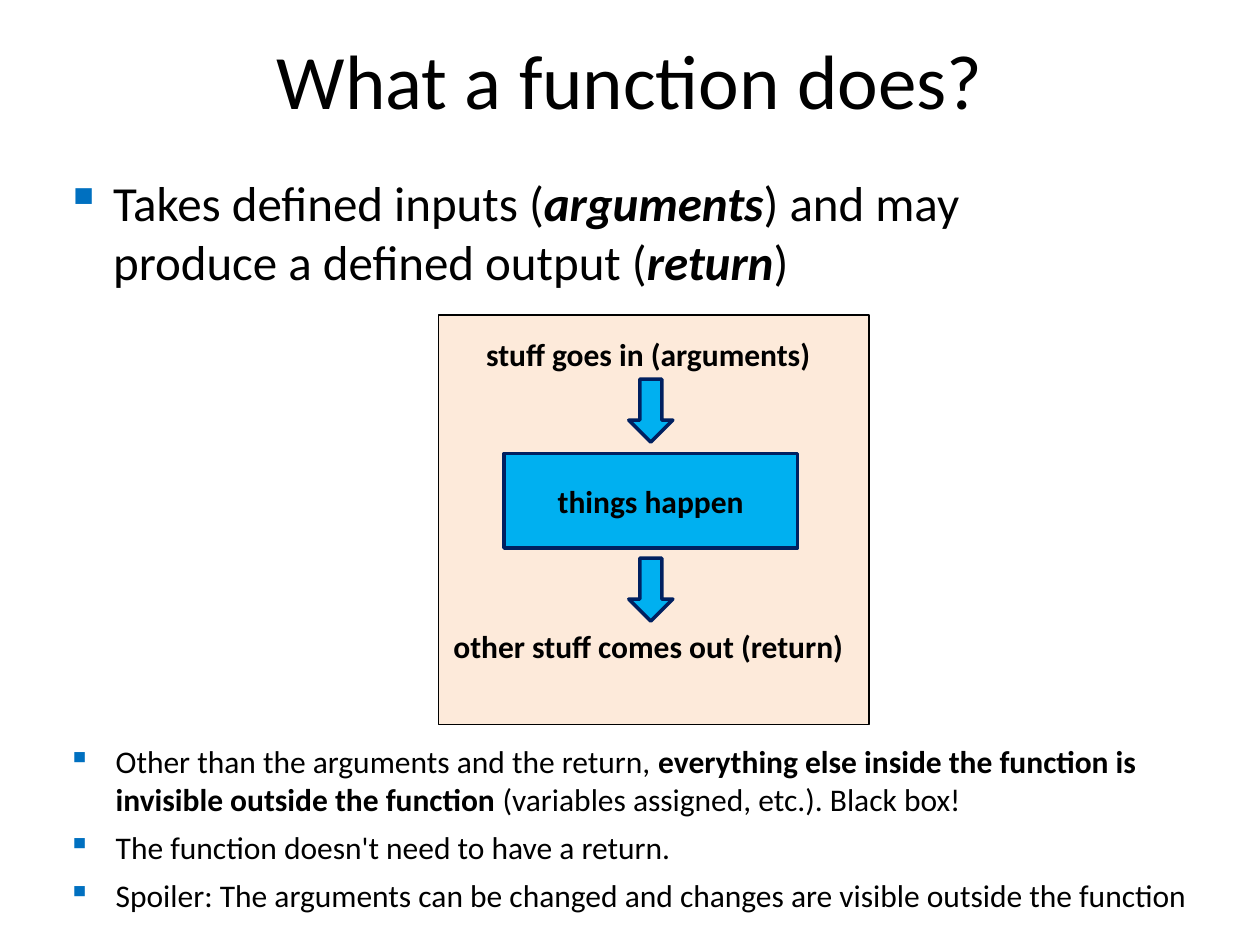
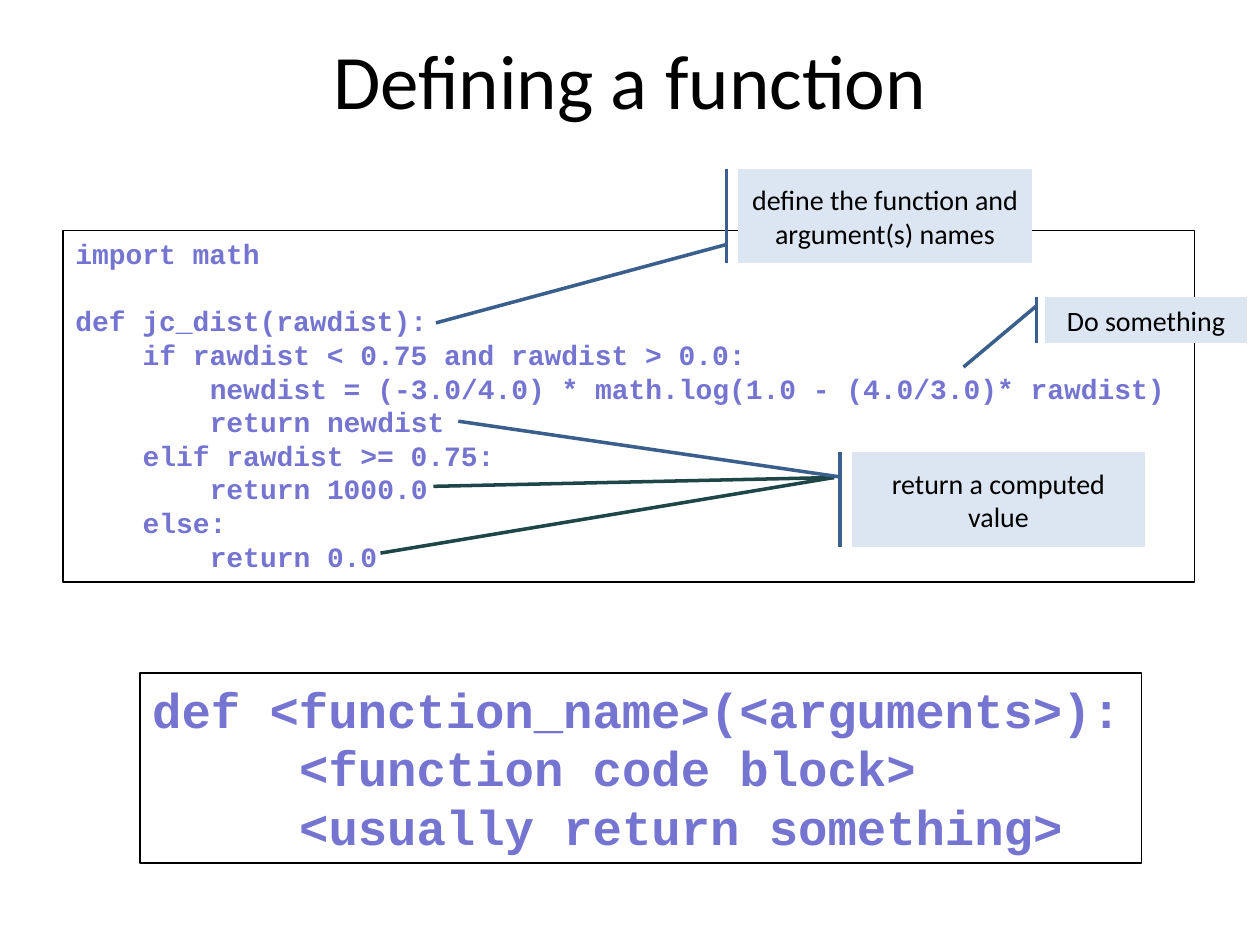
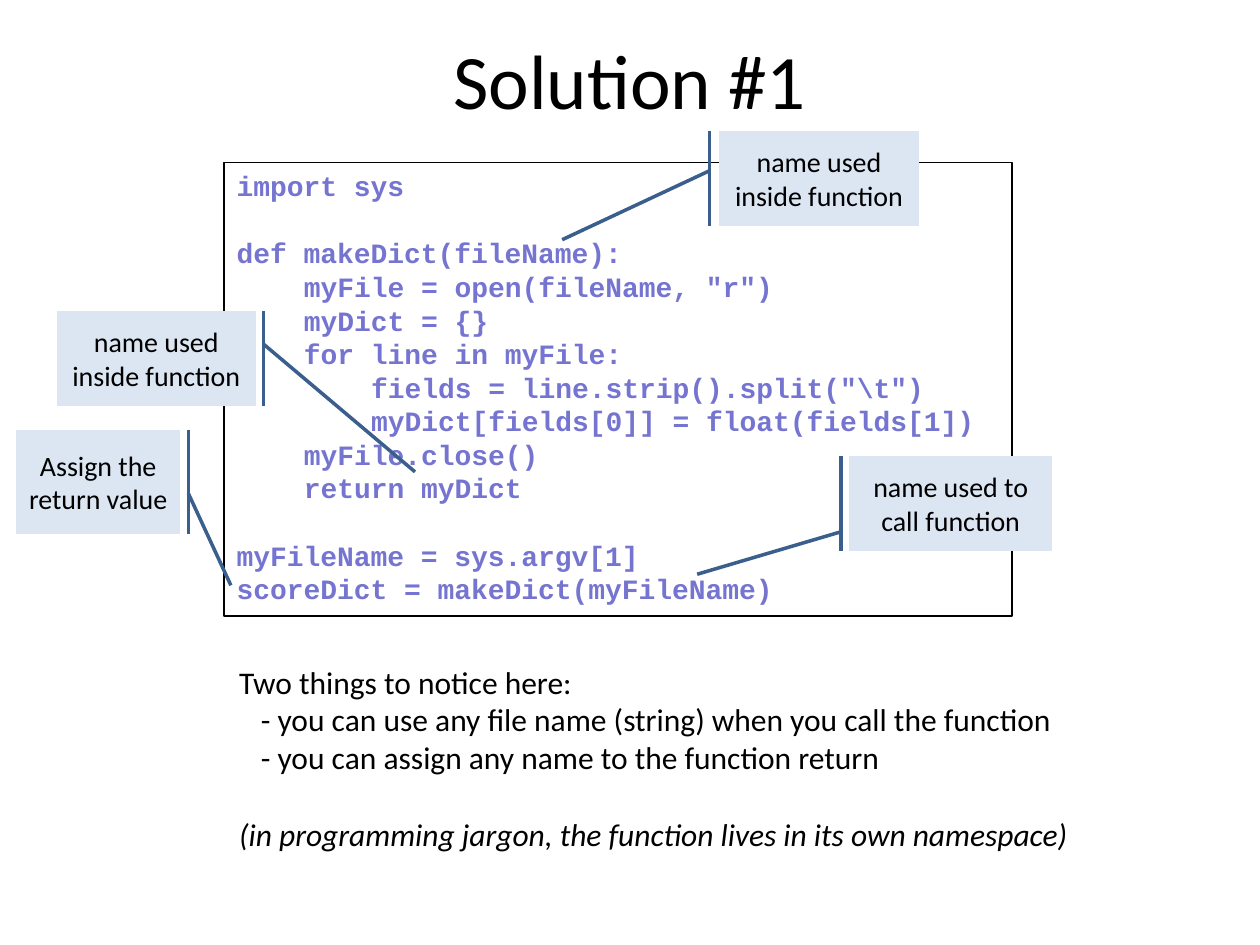
from dataclasses import dataclass

from lxml import etree
from pptx import Presentation
from pptx.dml.color import RGBColor
from pptx.enum.shapes import MSO_CONNECTOR, MSO_SHAPE
from pptx.enum.text import MSO_ANCHOR, PP_ALIGN
from pptx.oxml.ns import qn
from pptx.util import Inches, Pt

RECT = MSO_SHAPE.RECTANGLE
DOWN = MSO_SHAPE.DOWN_ARROW
CALLOUT = MSO_SHAPE.LINE_CALLOUT_1_ACCENT_BAR
STRAIGHT = MSO_CONNECTOR.STRAIGHT
TOP, MIDDLE = MSO_ANCHOR.TOP, MSO_ANCHOR.MIDDLE
LEFT, CENTER = PP_ALIGN.LEFT, PP_ALIGN.CENTER


@dataclass(frozen=True)
class Theme:
    body: str = "Calibri"
    mono: str = "Courier New"
    text: str = "000000"
    code: str = "7575D1"
    bullet: str = "0070C0"
    panel: str = "FDEADA"
    box: str = "00B0F0"
    box_line: str = "002060"
    callout: str = "DCE6F2"
    callout_line: str = "3A5F8C"
    pointer: str = "1E4649"
    title_size: int = 44
    large_size: int = 28
    body_size: int = 18
    code_size: int = 16
    thin: int = 1
    thick: int = 2
    line_height: float = 1.2
    mono_space: float = 0.6
    body_space: float = 0.23
    hang: float = 0.38


T = Theme()

BODY = {"name": T.body, "size": T.body_size, "color": T.text}
BOLD = {"bold": True}
ITALIC = {"italic": True}
BOLD_ITALIC = {**BOLD, **ITALIC}
LABEL = {**BODY, **BOLD}
TITLE = {**BODY, "size": T.title_size}
LEAD = {**BODY, "size": T.large_size}
NOTE = {**BODY, "size": T.code_size}
CODE = {"name": T.mono, "size": T.code_size, "color": T.code, "bold": True}
SYNTAX = {**CODE, "size": T.large_size}

LEAD_BULLETS = [
    [("Takes defined inputs (", {}), ("arguments", BOLD_ITALIC),
     (") and may \nproduce a defined output (", {}),
     ("return", BOLD_ITALIC), (")", {})],
]
SCOPE_BULLETS = [
    [("Other than the arguments and the return, ", {}),
     ("everything else inside the function is invisible outside the function ", BOLD),
     ("(variables assigned, etc.). Black box!", {})],
    [("The function doesn't need to have a return.", {})],
    [("Spoiler: The arguments can be changed and changes are visible "
      "outside the function", {})],
]
FLOW_LABELS = [
    ("stuff goes in (arguments)", (3.76, 2.61, 2.81, 0.4)),
    ("other stuff comes out (return)", (3.5, 4.93, 3.33, 0.4)),
]
ARROW_TOPS = (3.01, 4.43)

DISTANCE_CODE = """\
import math

def jc_dist(rawdist):
    if rawdist < 0.75 and rawdist > 0.0:
        newdist = (-3.0/4.0) * math.log(1.0 - (4.0/3.0)* rawdist)
        return newdist
    elif rawdist >= 0.75:
        return 1000.0
    else:
        return 0.0"""
SYNTAX_CODE = """\
def <function_name>(<arguments>):
     <function code block>
     <usually return something>"""
DICT_CODE = r"""import sys

def makeDict(fileName):
    myFile = open(fileName, "r")
    myDict = {}
    for line in myFile:
        fields = line.strip().split("\t")
        myDict[fields[0]] = float(fields[1])
    myFile.close()
    return myDict

myFileName = sys.argv[1]
scoreDict = makeDict(myFileName)"""
NOTICE = """\
Two things to notice here:
   - you can use any file name (string) when you call the function
   - you can assign any name to the function return"""
JARGON = "(in programming jargon, the function lives in its own namespace)"

RETURN_POINTERS = [(3.02, 4.39), (3.44, 3.86)]
RETURN_TARGET = (6.62, 3.79)
DEFINE_CALLOUTS = [
    ("define the function and argument(s) names",
     (5.86, 1.34, 2.33, 0.75), (0.8, -0.04, 1.63, -1.03)),
    ("Do something", (8.29, 2.36, 1.61, 0.36), (0.19, -0.04, 1.54, -0.4)),
    ("return a computed value",
     (6.76, 3.59, 2.33, 0.75), (0.26, -0.04, -0.33, -1.34)),
]
SOLUTION_CALLOUTS = [
    ("name used inside function",
     (5.71, 1.04, 1.58, 0.75), (0.42, -0.05, 1.15, -0.79)),
    ("name used to call function",
     (6.74, 3.62, 1.61, 0.75), (0.8, -0.04, 1.25, -0.75)),
    ("name used inside function",
     (0.45, 2.47, 1.58, 0.75), (0.35, 1.04, 1.7, 1.8)),
    ("Assign the return value",
     (0.13, 3.41, 1.3, 0.83), (0.61, 1.05, 1.49, 1.31)),
]


def inches(values):
    return [Inches(v) for v in values]


def add_run(p, text, fmt):
    r = p.add_run()
    r.text = text
    for key, value in fmt.items():
        if key == "color":
            r.font.color.rgb = RGBColor.from_string(value)
        else:
            setattr(r.font, key, Pt(value) if key == "size" else value)


def next_paragraph(tf, first):
    return tf.paragraphs[0] if first else tf.add_paragraph()


def prepare(sp, anchor=TOP, wrap=True):
    tf = sp.text_frame
    tf.word_wrap = wrap
    tf.vertical_anchor = anchor
    return tf


def add_text(s, at, anchor=TOP, wrap=True):
    return prepare(s.shapes.add_textbox(*inches(at)), anchor, wrap)


def add_box(s, kind, at, fill, line, width):
    sp = s.shapes.add_shape(kind, *inches(at))
    sp.shadow.inherit = False
    if fill:
        sp.fill.solid()
        sp.fill.fore_color.rgb = RGBColor.from_string(fill)
    else:
        sp.fill.background()
    sp.line.color.rgb = RGBColor.from_string(line)
    sp.line.width = Pt(width)
    return sp


def write_line(tf, text, fmt, align):
    p = tf.paragraphs[0]
    p.alignment = align
    add_run(p, text, fmt)


def write_lines(tf, text, fmt, space, exact):
    pitch = Pt(fmt["size"] * T.line_height)
    gap = 0
    first = True
    for line in text.split("\n"):
        if not line:
            gap += pitch
            continue
        p = next_paragraph(tf, first)
        first = False
        p.alignment = LEFT
        if exact:
            p.line_spacing = pitch
        p.space_before = gap
        gap = 0
        words = line.lstrip()
        depth = len(line) - len(words)
        indent = Pt(depth * space * fmt["size"])
        p._p.get_or_add_pPr().set("marL", str(int(indent)))
        add_run(p, words, fmt)


def write_bullets(tf, items, fmt):
    for i, runs in enumerate(items):
        p = next_paragraph(tf, i == 0)
        p.space_after = Pt(6)
        pPr = p._p.get_or_add_pPr()
        pPr.set("marL", str(Inches(T.hang)))
        pPr.set("indent", str(-Inches(T.hang)))
        color = etree.SubElement(pPr, qn("a:buClr"))
        etree.SubElement(color, qn("a:srgbClr"), val=T.bullet)
        etree.SubElement(pPr, qn("a:buChar"), char="▪")
        for text, extra in runs:
            for j, part in enumerate(text.split("\n")):
                if j:
                    p.add_line_break()
                add_run(p, part, {**fmt, **extra})


def add_code(s, text, at, fmt):
    sp = add_box(s, RECT, at, None, T.text, T.thin)
    write_lines(prepare(sp, wrap=False), text, fmt, T.mono_space, True)


def add_callouts(s, callouts):
    for text, at, adjustments in callouts:
        sp = add_box(s, CALLOUT, at, T.callout, T.callout_line, T.thick)
        for i, value in enumerate(adjustments):
            sp.adjustments[i] = value
        write_line(prepare(sp, MIDDLE), text, NOTE, CENTER)


def add_pointer(s, start, end):
    c = s.shapes.add_connector(STRAIGHT, *inches(start + end))
    c.line.color.rgb = RGBColor.from_string(T.pointer)
    c.line.width = Pt(T.thick)
    etree.SubElement(c._element.spPr, qn("a:effectLst"))


def add_slide(prs, title):
    s = prs.slides.add_slide(prs.slide_layouts[6])
    write_line(add_text(s, (0, 0, 10, 1.25), MIDDLE), title, TITLE, CENTER)
    return s


def build_purpose(prs):
    s = add_slide(prs, "What a function does?")
    add_box(s, RECT, (3.48, 2.5, 3.42, 3.25), T.panel, T.text, T.thin)
    write_bullets(add_text(s, (0.42, 1.32, 9, 2.68)), LEAD_BULLETS, LEAD)
    process = add_box(s, RECT, (4, 3.6, 2.33, 0.75), T.box, T.box_line, T.thick)
    write_line(prepare(process, MIDDLE), "things happen", LABEL, CENTER)
    for top in ARROW_TOPS:
        add_box(s, DOWN, (4.99, top, 0.35, 0.5), T.box, T.box_line, T.thick)
    for text, at in FLOW_LABELS:
        write_line(add_text(s, at, wrap=False), text, LABEL, LEFT)
    write_bullets(add_text(s, (0.44, 5.84, 9.2, 1.62)), SCOPE_BULLETS, BODY)


def build_definition(prs):
    s = add_slide(prs, "Defining a function")
    add_code(s, DISTANCE_CODE, (0.5, 1.83, 8.98, 2.79), CODE)
    add_code(s, SYNTAX_CODE, (1.11, 5.34, 7.95, 1.51), SYNTAX)
    for start in RETURN_POINTERS:
        add_pointer(s, start, RETURN_TARGET)
    add_callouts(s, DEFINE_CALLOUTS)


def build_solution(prs):
    s = add_slide(prs, "Solution #1")
    add_code(s, DICT_CODE, (1.78, 1.29, 6.25, 3.6), CODE)
    tf = add_text(s, (1.8, 5.21, 6.87, 1.62), wrap=False)
    write_lines(tf, NOTICE, BODY, T.body_space, False)
    p = tf.add_paragraph()
    p.space_before = Pt(22)
    add_run(p, JARGON, {**BODY, **ITALIC})
    add_callouts(s, SOLUTION_CALLOUTS)


def main():
    prs = Presentation()
    prs.slide_width, prs.slide_height = inches((10, 7.5))
    for build in (build_purpose, build_definition, build_solution):
        build(prs)
    prs.save("out.pptx")


if __name__ == "__main__":
    main()
